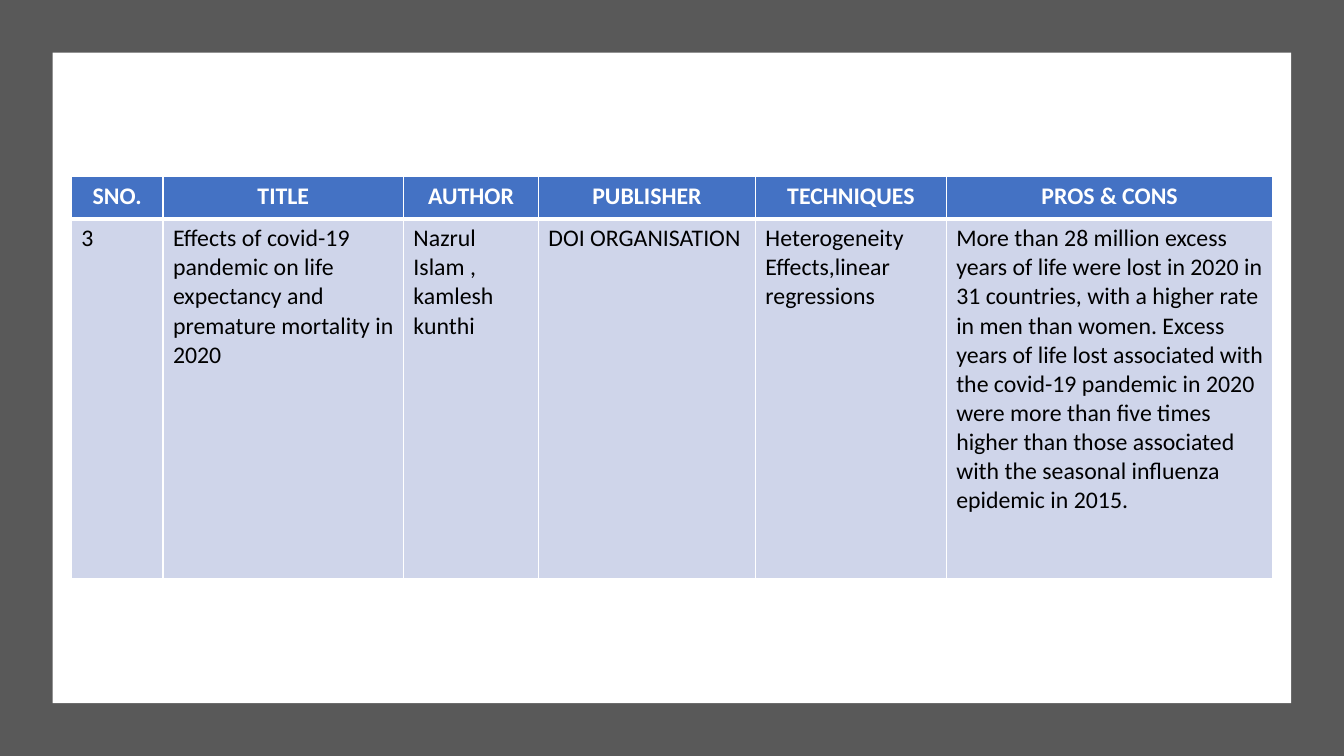
import pptx
import pptx.dml.color
import pptx.enum.shapes
import pptx.enum.text
import pptx.oxml
import pptx.oxml.ns
import pptx.util

Cm = pptx.util.Cm
ALIGN = pptx.enum.text.PP_ALIGN

WIDTH, HEIGHT, MARGIN = 33.87, 19.05, 1.33
COLUMN_WIDTHS = [2.31, 6.06, 3.4, 5.47, 4.81, 8.23]
ROW_HEIGHTS = [1.07, 9.07]
HEADINGS = ["SNO.", "TITLE", "AUTHOR", "PUBLISHER", "TECHNIQUES", "PROS & CONS"]
STUDY = [
    "3",
    "Effects of covid-19 pandemic on life expectancy and premature mortality in 2020",
    "Nazrul Islam , kamlesh kunthi",
    "DOI ORGANISATION",
    "Heterogeneity Effects,linear regressions",
    "More than 28 million excess years of life were lost in 2020 in 31 countries, "
    "with a higher rate in men than women. Excess years of life lost associated with "
    "the covid-19 pandemic in 2020 were more than five times higher than those "
    "associated with the seasonal influenza epidemic in 2015.",
]
HEADER_STYLE = {
    "fill": "4472C4", "color": "FFFFFF", "align": ALIGN.CENTER,
    "font": {"name": "Calibri", "size": pptx.util.Pt(17), "bold": True},
    "borders": {"L": 1, "R": 1, "T": 1, "B": 3},
    "cell": {"margin_left": Cm(0.25), "margin_right": Cm(0.25)},
}
BODY_STYLE = {
    "fill": "CFD5EA", "color": "000000", "align": ALIGN.LEFT,
    "font": {"name": "Calibri", "size": pptx.util.Pt(17), "bold": False},
    "borders": {"L": 1, "R": 1, "T": 3, "B": 1},
    "cell": {"margin_left": Cm(0.25), "margin_right": Cm(0.2)},
}


def paint(color_format, color):
    color_format.rgb = pptx.dml.color.RGBColor.from_string(color)


def fill_with(target, color):
    target.fill.solid()
    paint(target.fill.fore_color, color)


def apply_format(target, values):
    for name, value in values.items():
        setattr(target, name, value)


def add_panel(page, box, color):
    panel = page.shapes.add_shape(
        pptx.enum.shapes.MSO_SHAPE.RECTANGLE, *[Cm(length) for length in box])
    panel.shadow.inherit = False
    panel.line.fill.background()
    fill_with(panel, color)


def add_border(cell, side, points, color):
    border = pptx.oxml.parse_xml(
        f'<a:ln{side} {pptx.oxml.ns.nsdecls("a")} w="{pptx.util.Pt(points)}">'
        f'<a:solidFill><a:srgbClr val="{color}"/></a:solidFill></a:ln{side}>')
    cell._tc.get_or_add_tcPr().append(border)


def format_cell(cell, text, style):
    for side, points in style["borders"].items():
        add_border(cell, side, points, "FFFFFF")
    fill_with(cell, style["fill"])
    apply_format(cell, style["cell"])
    para = cell.text_frame.paragraphs[0]
    para.alignment = style["align"]
    span = para.add_run()
    span.text = text
    apply_format(span.font, style["font"])
    paint(span.font.color, style["color"])


def add_study_table(page, box):
    left, top, width, height = box
    table = page.shapes.add_table(
        len(ROW_HEIGHTS), len(COLUMN_WIDTHS), Cm(left + 0.47), Cm(top + 3.12),
        Cm(sum(COLUMN_WIDTHS)), Cm(sum(ROW_HEIGHTS))).table
    for column, column_width in zip(table.columns, COLUMN_WIDTHS):
        column.width = Cm(column_width)
    for row, row_height in zip(table.rows, ROW_HEIGHTS):
        row.height = Cm(row_height)
    for row, texts, style in zip(
            table.rows, (HEADINGS, STUDY), (HEADER_STYLE, BODY_STYLE)):
        for cell, text in zip(row.cells, texts):
            format_cell(cell, text, style)


def build_study_slide(deck, box):
    page = deck.slides.add_slide(deck.slide_layouts[6])
    left, top, width, height = box
    content = (left + MARGIN, top + MARGIN, width - 2 * MARGIN, height - 2 * MARGIN)
    add_panel(page, box, "595959")
    add_panel(page, content, "FFFFFF")
    add_study_table(page, content)


deck = pptx.Presentation()
deck.slide_width, deck.slide_height = Cm(WIDTH), Cm(HEIGHT)
build_study_slide(deck, (0, 0, WIDTH, HEIGHT))
deck.save("out.pptx")
